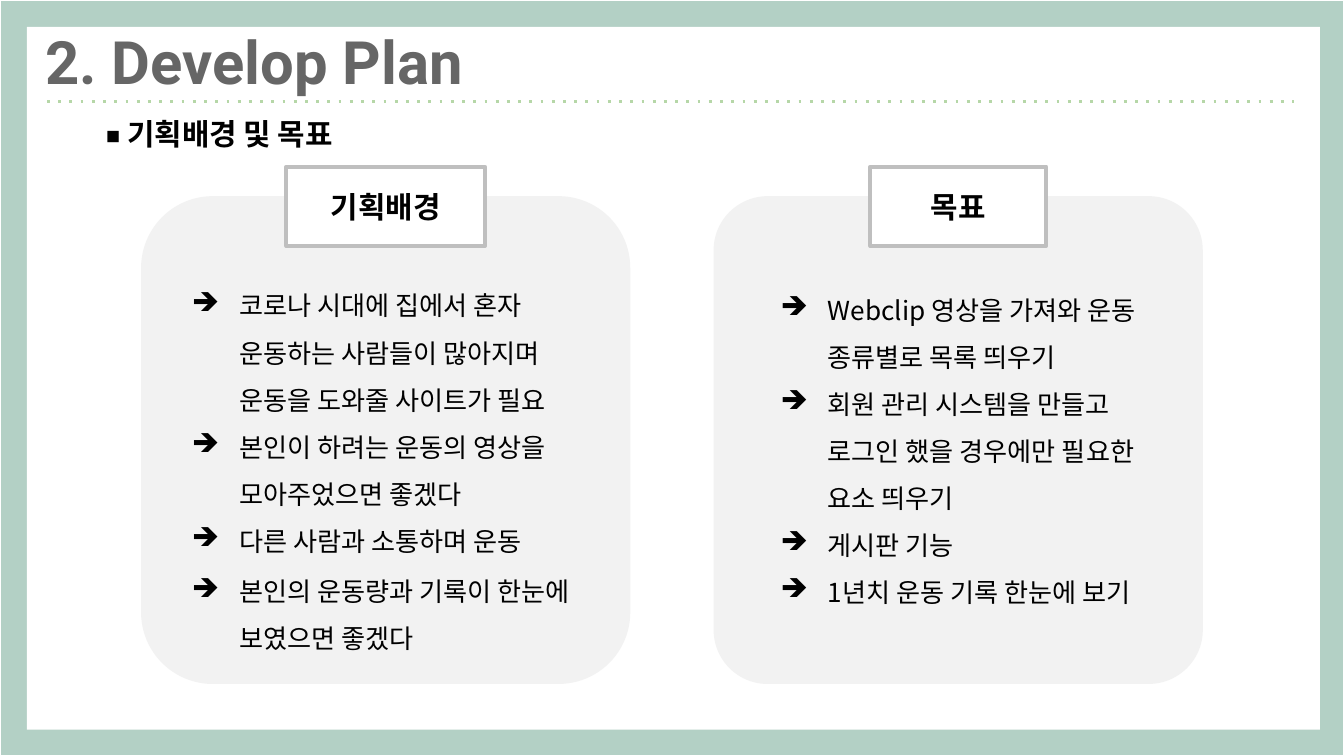
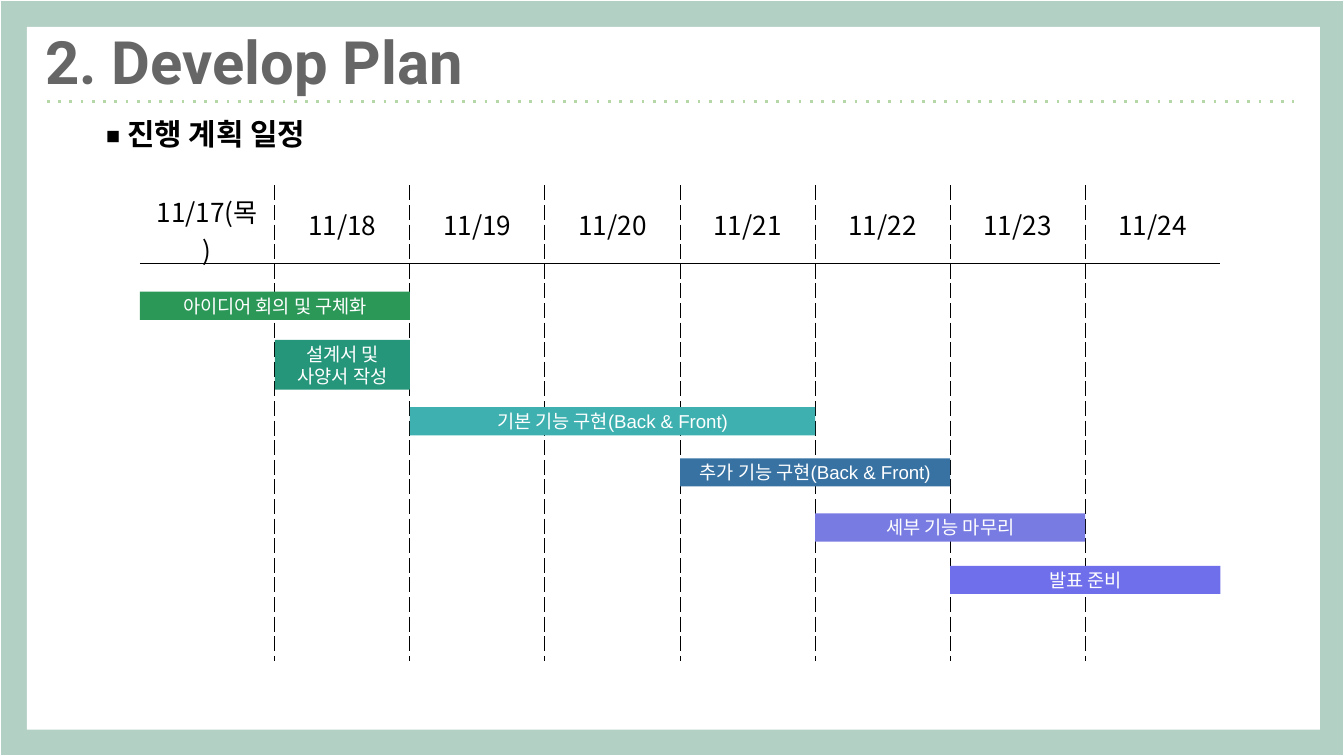
from dataclasses import dataclass
from pptx import Presentation, util as u
from pptx.dml import color
from pptx.enum import dml, shapes, text
from pptx.oxml import ns, parse_xml

A = ns.nsdecls("a")
RECT = shapes.MSO_SHAPE.RECTANGLE
ROUND = shapes.MSO_SHAPE.ROUNDED_RECTANGLE
MIDDLE, BOTTOM = text.MSO_ANCHOR.MIDDLE, text.MSO_ANCHOR.BOTTOM
CENTER = text.PP_ALIGN.CENTER


@dataclass(frozen=True)
class Theme:
    """Colours, fonts and type sizes of the deck."""
    frame: str = "B3D0C5"
    paper: str = "FFFFFF"
    ink: str = "000000"
    title: str = "666666"
    rule: str = "B6D7A8"
    card: str = "F2F2F2"
    tag: str = "BFBFBF"
    body_font: str = "Noto Sans CJK KR"
    title_font: str = "Roboto"
    bar_font: str = "Arial"
    title_size: int = 32
    head_size: int = 16
    body_size: int = 14
    bar_size: int = 10


@dataclass(frozen=True)
class Box:
    """A region in grid cells; the slide is 100 columns by 56.25 rows."""
    x: float
    y: float
    w: float
    h: float

    def sub(self, x, y, w, h):
        """Return a region placed relative to this one."""
        return Box(self.x + x, self.y + y, w, h)

    def emu(self):
        """Return left, top, width and height as lengths."""
        return [cells(n) for n in (self.x, self.y, self.w, self.h)]


T = Theme()
SLIDE = Box(0, 0, 100, 56.25)

CARDS = [
    dict(box=SLIDE.sub(10.5, 14.6, 36.4, 36.3), radius=0.147, tag="기획배경", tag_w=14.8,
         inset=(1.3, 4.8, 33.9, 28.2), last_gap=1.7, items=[
             "코로나 시대에 집에서 혼자 운동하는 사람들이 많아지며 운동을 도와줄 사이트가 필요",
             "본인이 하려는 운동의 영상을 모아주었으면 좋겠다",
             "다른 사람과 소통하며 운동",
             "본인의 운동량과 기록이 한눈에 보였으면 좋겠다"]),
    dict(box=SLIDE.sub(53.1, 14.6, 36.4, 36.3), radius=0.111, tag="목표", tag_w=13.1,
         inset=(2.5, 5.1, 31.3, 26.1), last_gap=0, items=[
             "Webclip 영상을 가져와 운동 종류별로 목록 띄우기",
             "회원 관리 시스템을 만들고 로그인 했을 경우에만 필요한 요소 띄우기",
             "게시판 기능",
             "1년치 운동 기록 한눈에 보기"]),
]
DAYS = ["11/17(목)"] + [f"11/{day}" for day in range(18, 25)]
TASKS = [
    ("아이디어 회의 및 구체화", 0, 2, 7.9, 2.1, "2C9858"),
    ("설계서 및 사양서 작성", 1, 1, 11.5, 3.7, "26967B"),
    ("기본 기능 구현(Back & Front)", 2, 3, 16.5, 2.1, "3EB0B0"),
    ("추가 기능 구현(Back & Front)", 4, 2, 20.3, 2.1, "3772A3"),
    ("세부 기능 마무리", 5, 2, 24.4, 2.1, "787BE2"),
    ("발표 준비", 6, 2, 28.3, 2.1, "6F6FEB"),
]


def cells(n):
    """Turn grid cells into a length."""
    return u.Inches(n / 10)


def rgb(value):
    """Turn a hex string into a colour."""
    return color.RGBColor.from_string(value)


def write(tf, content, size=T.body_size, font=T.body_font, ink=T.ink, bold=False,
          align=None, anchor=None, indent=0, hanging=0, spacing=None, before=0, bullet=None):
    """Add one formatted paragraph to a text frame."""
    p = tf.paragraphs[-1]
    if p.runs:
        p = tf.add_paragraph()
    tf.word_wrap = True
    if anchor is not None:
        tf.vertical_anchor = anchor
    if align is not None:
        p.alignment = align
    if spacing:
        p.line_spacing = spacing
    if before:
        p.space_before = u.Pt(before)
    pPr = p._p.get_or_add_pPr()
    if indent:
        pPr.set("marL", str(cells(indent)))
        pPr.set("indent", str(cells(-hanging)))
    if bullet:
        pPr.append(parse_xml(f'<a:buClr {A}><a:srgbClr val="{ink}"/></a:buClr>'))
        pPr.append(parse_xml(f'<a:buChar {A} char="{bullet}"/>'))
    r = p.add_run()
    r.text = content
    r.font.size, r.font.bold = u.Pt(size), bold
    r.font.color.rgb = rgb(ink)
    r.font.name = font
    r._r.get_or_add_rPr().append(parse_xml(f'<a:ea {A} typeface="{T.body_font}"/>'))


def panel(s, box, fill, kind=RECT, line=None, width=0.75, radius=None):
    """Draw a flat filled shape."""
    sp = s.shapes.add_shape(kind, *box.emu())
    sp.shadow.inherit = False
    sp.fill.solid()
    sp.fill.fore_color.rgb = rgb(fill)
    if line:
        sp.line.color.rgb, sp.line.width = rgb(line), u.Pt(width)
    else:
        sp.line.fill.background()
    if radius is not None:
        sp.adjustments[0] = radius
    return sp


def text_box(s, box):
    """Add a text box with even insets and return its frame."""
    tf = s.shapes.add_textbox(*box.emu()).text_frame
    tf.margin_left = tf.margin_right = tf.margin_top = tf.margin_bottom = cells(1)
    return tf


def dotted_rule(s, box):
    """Draw the dotted line along the top of a box."""
    x, y, w, _ = box.emu()
    c = s.shapes.add_connector(shapes.MSO_CONNECTOR.STRAIGHT, x, y, x + w, y)
    c.line.color.rgb, c.line.width = rgb(T.rule), u.Pt(1.5)
    c.line.dash_style = dml.MSO_LINE.ROUND_DOT
    c.element.find(".//" + ns.qn("a:prstDash")).set("val", "dot")
    c.element.spPr.append(parse_xml(f"<a:effectLst {A}/>"))


def base_slide(prs, subtitle):
    """Add a slide with the frame, title, rule and subtitle."""
    s = prs.slides.add_slide(prs.slide_layouts[6])
    panel(s, SLIDE, T.frame, line=T.paper)
    panel(s, SLIDE.sub(2, 2, 96.2, 52.3), T.paper)
    dotted_rule(s, SLIDE.sub(3.5, 7.55, 92.8, 0))
    write(text_box(s, SLIDE.sub(2.1, 1.1, 95.4, 7.1)), "2. Develop Plan", size=T.title_size,
          font=T.title_font, ink=T.title, bold=True, anchor=BOTTOM, indent=0.3)
    write(text_box(s, SLIDE.sub(6.9, 7.6, 43.1, 3.4)), f"◾ {subtitle}",
          size=T.head_size, bold=True)
    return s


def card(s, box, radius, tag, tag_w, inset, items, last_gap):
    """Draw a rounded card with a tag on its top edge and an arrow list."""
    panel(s, box, T.card, ROUND, radius=radius)
    tf = text_box(s, box.sub(*inset))
    for item in items:
        write(tf, item, indent=5, hanging=3.5, spacing=1.5, bullet="➔",
              before=last_gap if item == items[-1] else 0)
    sp = panel(s, box.sub((box.w - tag_w) / 2, -2.2, tag_w, 5.9), T.paper, ROUND,
               line=T.tag, width=2, radius=0)
    write(sp.text_frame, tag, size=T.head_size, bold=True, align=CENTER, anchor=MIDDLE)


def set_borders(cell, **sides):
    """Set the four borders of a cell from side=(width, dash) pairs."""
    tcPr = cell._tc.get_or_add_tcPr()
    for i, side in enumerate("LRTB"):
        width, dash = sides.get(side) or (0, None)
        body = (f'<a:solidFill><a:srgbClr val="{T.ink}"/></a:solidFill><a:prstDash val="{dash}"/>'
                if dash else "<a:noFill/>")
        tcPr.insert(i, parse_xml(f'<a:ln{side} {A} w="{u.Pt(width)}">{body}</a:ln{side}>'))


def calendar(s, box, days, row_heights):
    """Draw the day grid as a table with dashed column lines."""
    table = s.shapes.add_table(len(row_heights), len(days), *box.emu()).table
    table.first_row = table.horz_banding = False
    for column in table.columns:
        column.width = cells(box.w / len(days))
    dashed, solid = (0.5, "dash"), (0.75, "solid")
    for row, height in enumerate(row_heights):
        table.rows[row].height = cells(height)
        for col, day in enumerate(days):
            cell = table.cell(row, col)
            cell.fill.background()
            set_borders(cell, L=dashed if col else None,
                        R=dashed if col < len(days) - 1 else None,
                        T=solid if row else None, B=None if row else solid)
            if row == 0:
                cell.vertical_anchor = MIDDLE
                write(cell.text_frame, day, align=CENTER)


def task_bars(s, box, tasks, day_count):
    """Lay the task bars over the day columns."""
    day_w = box.w / day_count
    for name, start, span, top, height, fill in tasks:
        sp = panel(s, box.sub(start * day_w, top, span * day_w, height), fill)
        write(sp.text_frame, name, size=T.bar_size, font=T.bar_font, ink=T.paper,
              align=CENTER, anchor=MIDDLE)


def background_slide(prs):
    """Build the slide on background and goals."""
    s = base_slide(prs, "기획배경 및 목표")
    for entry in CARDS:
        card(s, **entry)


def schedule_slide(prs):
    """Build the schedule slide."""
    s = base_slide(prs, "진행 계획 일정")
    box = SLIDE.sub(10.4, 13.8, 80.4, 35.4)
    calendar(s, box, DAYS, (5.8, 29.6))
    task_bars(s, box, TASKS, len(DAYS))


def main():
    """Build and save the deck."""
    prs = Presentation()
    prs.slide_width, prs.slide_height = cells(SLIDE.w), cells(SLIDE.h)
    background_slide(prs)
    schedule_slide(prs)
    prs.save("out.pptx")


if __name__ == "__main__":
    main()
